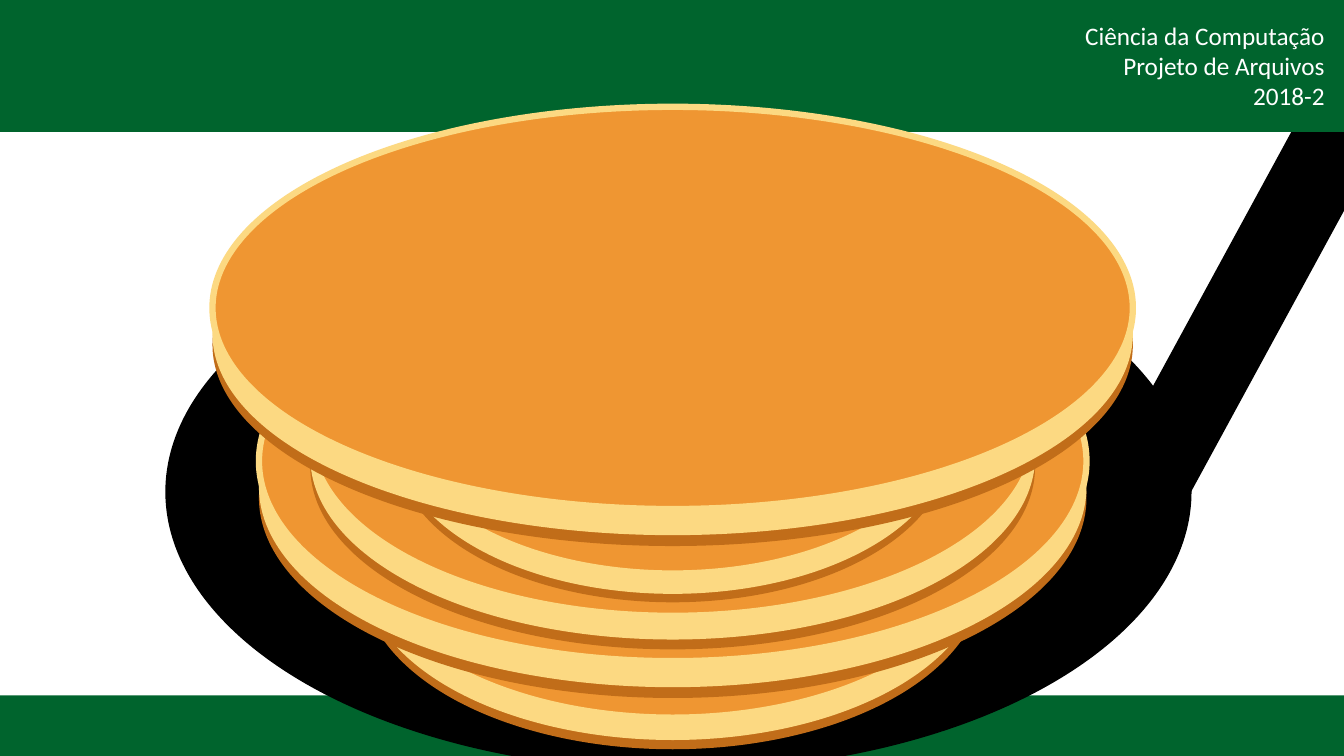
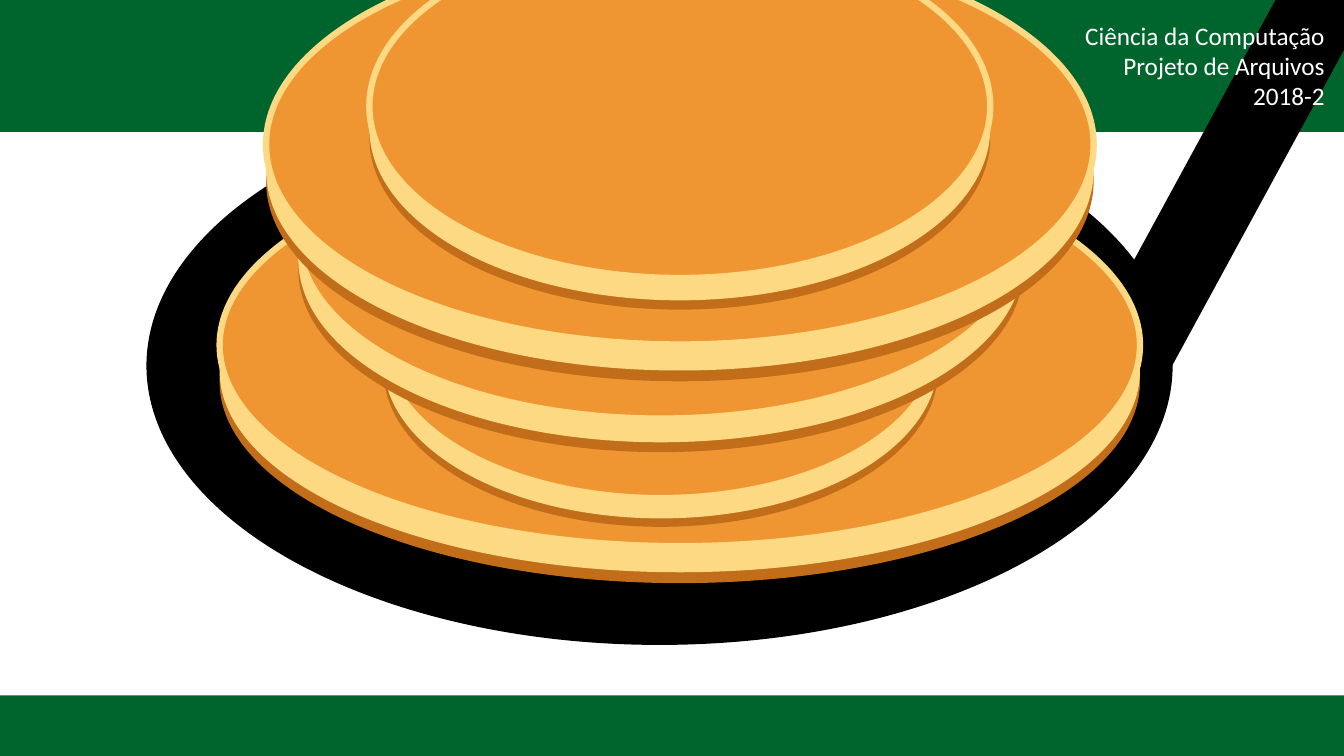
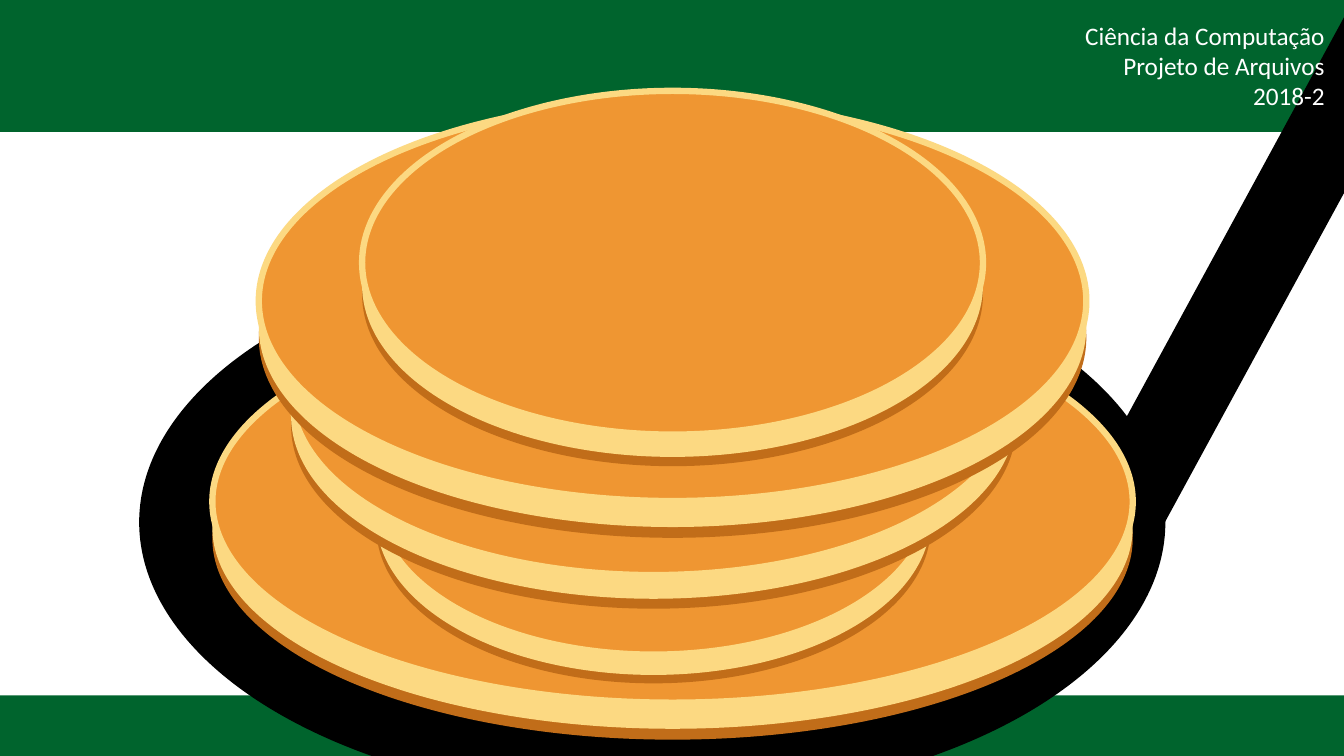
import dataclasses

import pptx
import pptx.dml.color
import pptx.enum.shapes
import pptx.enum.text
import pptx.oxml.ns
import pptx.util
from lxml import etree

Pt = pptx.util.Pt
SHAPES = pptx.enum.shapes.MSO_SHAPE


@dataclasses.dataclass(frozen=True)
class Theme:
    width: float = 960
    height: float = 540
    green: str = "00642D"
    black: str = "000000"
    white: str = "FFFFFF"
    crust: str = "C16D19"
    batter: str = "FCD982"
    golden: str = "EF9632"
    font: str = "Calibri"
    text_size: float = 18
    rim_width: float = 4.5
    handle_width: float = 60


THEME = Theme()

# Slide regions: left, top, width, height
HEADER = (0, 0, THEME.width, 94.3)
FOOTER = (0, 496.8, THEME.width, 43.2)
COURSE_BOX = (651.6, 10.8, 301.7, 72.7)
COURSE = "Ciência da Computação\nProjeto de Arquivos\n2018-2"

# Pan size, and handle ends relative to the pan's corner
PAN_SIZE = (733, 398.9)
HANDLE = ((700.6, 195.6), (901.5, -173.6))

# Pancake sizes; thickness is a share of the height
PANCAKES = {
    "XS": (396, 223.2),
    "S": (443.5, 245.5),
    "M": (517.7, 260.6),
    "L": (591.1, 285.8),
    "XL": (657.4, 287.3),
}
BATTER_DROP = 0.065
CRUST_DROP = 0.092

# Stacks from the bottom up: size, centre x and top, relative to the pan
UNSORTED = [("S", 362.4, 115.2), ("L", 362.4, 34.6), ("M", 362.4, 27.4),
            ("XS", 362.4, 34.6), ("XL", 362.4, -75.6)]
FLIPPED = [("XL", 381, 41), ("XS", 367.4, 70.8), ("M", 367.4, -23.4),
           ("L", 381, -101.5), ("S", 381, -108.7)]


def rgb(color):
    return pptx.dml.color.RGBColor.from_string(color)


def add_filled(shapes, kind, box, color, line=None):
    sp = shapes.add_shape(kind, *map(Pt, box))
    sp.shadow.inherit = False
    sp.fill.solid()
    sp.fill.fore_color.rgb = rgb(color)
    if line:
        sp.line.color.rgb = rgb(line)
        sp.line.width = Pt(THEME.rim_width)
    else:
        sp.line.fill.background()
    return sp


def add_band(s, box):
    add_filled(s.shapes, SHAPES.RECTANGLE, box, THEME.green)


def add_course(s, box):
    sp = s.shapes.add_textbox(*map(Pt, box))
    tf = sp.text_frame
    tf.word_wrap = True
    tf.auto_size = pptx.enum.text.MSO_AUTO_SIZE.SHAPE_TO_FIT_TEXT
    tf.text = COURSE
    for p in tf.paragraphs:
        p.alignment = pptx.enum.text.PP_ALIGN.RIGHT
        for r in p.runs:
            r.font.name = THEME.font
            r.font.size = Pt(THEME.text_size)
            r.font.color.rgb = rgb(THEME.white)


def add_pan(s, left, top):
    add_filled(s.shapes, SHAPES.OVAL, (left, top, *PAN_SIZE), THEME.black)
    ends = [Pt(v) for x, y in HANDLE for v in (left + x, top + y)]
    handle = s.shapes.add_connector(
        pptx.enum.shapes.MSO_CONNECTOR.STRAIGHT, *ends)
    handle.line.color.rgb = rgb(THEME.black)
    handle.line.width = Pt(THEME.handle_width)
    etree.SubElement(handle._element.spPr, pptx.oxml.ns.qn("a:effectLst"))


def add_pancake(s, size, center, top):
    width, height = PANCAKES[size]
    group = s.shapes.add_group_shape()
    layers = [(CRUST_DROP, THEME.crust, None),
              (BATTER_DROP, THEME.batter, None),
              (0, THEME.golden, THEME.batter)]
    for drop, color, rim in layers:
        box = (center - width / 2, top + drop * height, width, height)
        add_filled(group.shapes, SHAPES.OVAL, box, color, rim)


def add_stack(s, left, top, stack):
    for size, center, offset in stack:
        add_pancake(s, size, left + center, top + offset)


def new_slide(prs):
    s = prs.slides.add_slide(prs.slide_layouts[6])
    add_band(s, FOOTER)
    return s


def build_unsorted(prs, left, top):
    """The header covers the handle; the stack lies over everything."""
    s = new_slide(prs)
    add_pan(s, left, top)
    add_band(s, HEADER)
    add_course(s, COURSE_BOX)
    add_stack(s, left, top, UNSORTED)


def build_flipped(prs, left, top):
    """The pan and stack cover the header; the course text is on top."""
    s = new_slide(prs)
    add_band(s, HEADER)
    add_pan(s, left, top)
    add_stack(s, left, top, FLIPPED)
    add_course(s, COURSE_BOX)


def main():
    prs = pptx.Presentation()
    prs.slide_width = Pt(THEME.width)
    prs.slide_height = Pt(THEME.height)
    build_unsorted(prs, 118.1, 151.9)
    build_flipped(prs, 104.6, 61.8)
    build_flipped(prs, 99.4, 173.6)
    prs.save("out.pptx")


if __name__ == "__main__":
    main()
